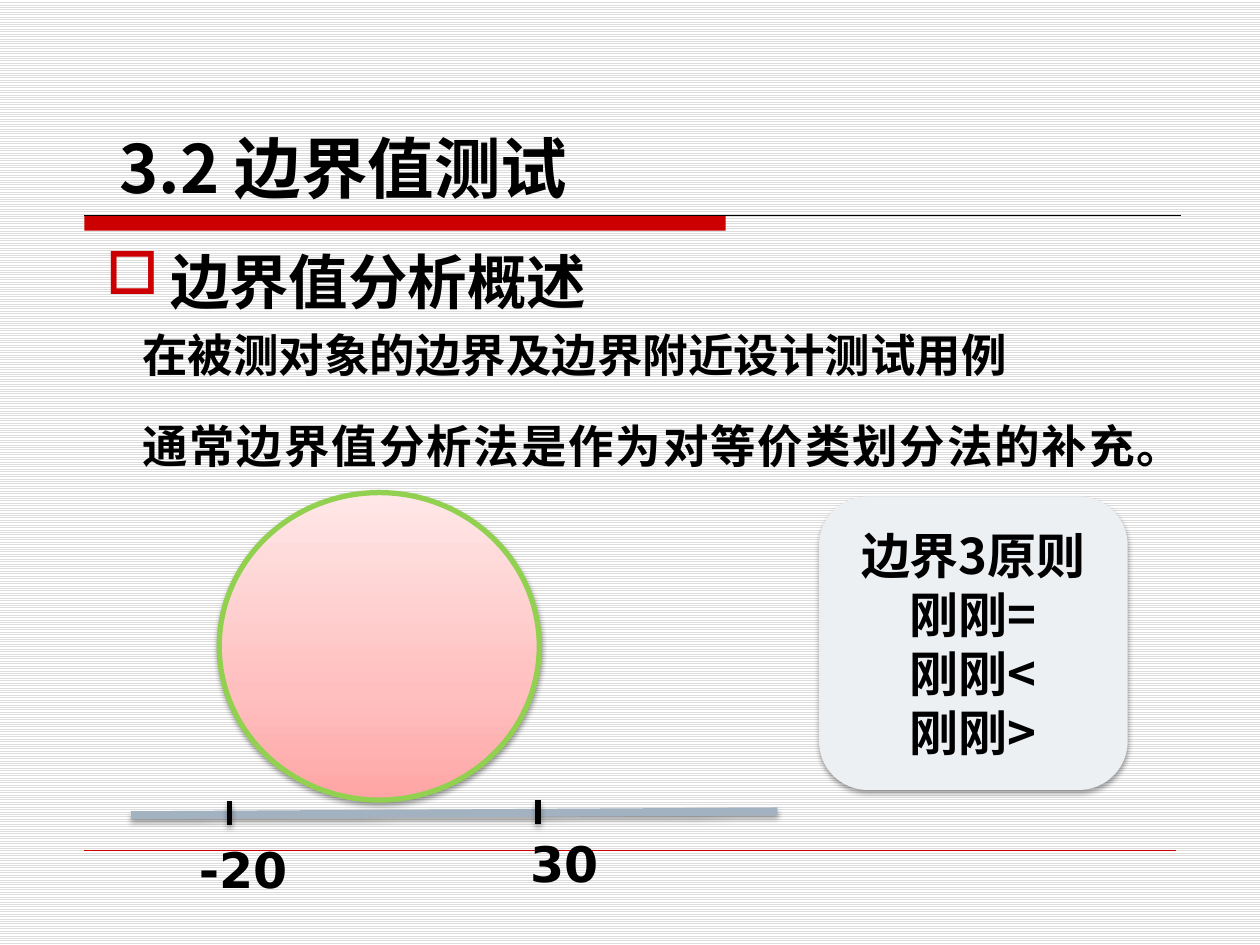
from lxml.etree import SubElement
from copy import deepcopy
from pptx import Presentation
from pptx.dml.color import RGBColor
from pptx.enum.dml import MSO_PATTERN
from pptx.enum.shapes import MSO_CONNECTOR, MSO_SHAPE
from pptx.enum.text import MSO_ANCHOR, PP_ALIGN
from pptx.oxml.ns import qn
from pptx.util import Inches, Pt

WIDE, HIGH = 10, 7.5
SANS, HAN = "DejaVu Sans", "Noto Sans CJK SC"
HUES = {
    "ink": "000000", "red": "CC0000", "paper": "FFFFFF", "stripe": "DDDDDD",
    "green": "92D050", "axis": "A3B2C1", "card": "EDF0F3",
    "deep": "FFA5A5", "mid": "FFBFBF", "pale": "FFE7E7",
}


def hue(name):
    return RGBColor.from_string(HUES[name])


def place(shape, box):
    shape.left, shape.top, shape.width, shape.height = map(Inches, box)


def write(shape, lines, size, font=SANS, align=PP_ALIGN.LEFT,
          anchor=MSO_ANCHOR.TOP, wrap=True, gap=0, lead=None, indent=0, hang=0):
    frame = shape.text_frame
    frame.word_wrap = wrap
    frame.vertical_anchor = anchor
    frame.margin_left = frame.margin_right = Inches(0.1)
    frame.margin_top = frame.margin_bottom = Inches(0.05)
    for i, line in enumerate(lines):
        para = frame.paragraphs[0] if i == 0 else frame.add_paragraph()
        para.alignment = align
        para.line_spacing = lead
        para.space_before = Pt(gap if i else 0)
        props = para._p.get_or_add_pPr()
        props.set("marL", str(Inches(indent)))
        props.set("indent", str(Inches(-hang)))
        run = para.add_run()
        run.text = line
        run.font.size, run.font.bold, run.font.name = Pt(size), True, font
        run.font.color.rgb = hue("ink")
        SubElement(run._r.get_or_add_rPr(), qn("a:ea"), typeface=HAN)
    return frame


def label(slide, box, lines, size, **look):
    shape = slide.shapes.add_textbox(*map(Inches, box))
    write(shape, lines, size, **look)


def shade(shape, alpha=None, dist=1.8):
    """Give a soft drop shadow, or none when alpha is left out."""
    effect = SubElement(shape._element.spPr, qn("a:effectLst"))
    if alpha:
        drop = SubElement(effect, qn("a:outerShdw"), blurRad=str(Pt(3.1)),
                          dist=str(Pt(dist)), dir="5400000", rotWithShape="0")
        tint = SubElement(drop, qn("a:srgbClr"), val=HUES["ink"])
        SubElement(tint, qn("a:alpha"), val=str(alpha * 1000))


def rule(slide, start, end, color, width, alpha=None):
    line = slide.shapes.add_connector(
        MSO_CONNECTOR.STRAIGHT, *map(Inches, (*start, *end)))
    line.line.color.rgb = hue(color)
    line.line.width = Pt(width)
    shade(line, alpha)


def frame(slide, left, top, wide, foot):
    """Striped ground, heading bar and foot line."""
    fill = slide.background.fill
    fill.patterned()
    fill.pattern = MSO_PATTERN.LIGHT_HORIZONTAL
    fill.fore_color.rgb, fill.back_color.rgb = hue("stripe"), hue("paper")
    bar = slide.shapes.add_shape(MSO_SHAPE.RECTANGLE, 0, 0, 0, 0)
    place(bar, (left, top, wide * 0.585, 0.12))
    bar.fill.solid()
    bar.fill.fore_color.rgb = hue("red")
    bar.line.fill.background()
    shade(bar)
    rule(slide, (left, top), (left + wide, top), "ink", 0.75)
    rule(slide, (left, foot), (WIDE - left, foot), "red", 0.25)


def heads(slide, left, top, wide):
    """Chapter name, bulleted title and the two statements."""
    label(slide, (left + 0.11, top, 3.95, 0.74), ["3.2 边界值测试"], 38,
          font=HAN, wrap=False)
    title = slide.shapes.title
    place(title, (left, top + 0.98, wide, 0.62))
    text = write(title, ["边界值分析概述"], 34, align=PP_ALIGN.JUSTIFY,
                 anchor=MSO_ANCHOR.BOTTOM, indent=0.51, hang=0.51)
    props = text.paragraphs[0]._p.get_or_add_pPr()
    tint = SubElement(props, qn("a:buClr"))
    SubElement(tint, qn("a:srgbClr"), val=HUES["red"])
    SubElement(props, qn("a:buChar"), char="□")
    label(slide, (left - 0.23, top + 1.37, wide + 0.04, 4.83),
          ["在被测对象的边界及边界附近设计测试用例",
           "通常边界值分析法是作为对等价类划分法的补充。"],
          26, align=PP_ALIGN.JUSTIFY, gap=5.2, lead=1.5, indent=0.52)


def scale(slide, left, top, wide):
    """Circle resting on an axis with two marked bounds."""
    disc = slide.shapes.add_shape(MSO_SHAPE.OVAL, 0, 0, 0, 0)
    place(disc, (left + 0.7, top, 2.54, 2.44))
    disc.fill.gradient()
    disc.fill.gradient_angle = 90
    first = disc.fill.gradient_stops[0]._gs
    first.addnext(deepcopy(first))
    stops = zip(disc.fill.gradient_stops, (0, 0.35, 1), ("deep", "mid", "pale"))
    for stop, where, color in stops:
        stop.position, stop.color.rgb = where, hue(color)
    disc.line.color.rgb, disc.line.width = hue("green"), Pt(3)
    shade(disc, 38, 1.6)

    axis = top + 2.56
    rule(slide, (left, axis), (left + wide, axis - 0.03), "axis", 4.5, 35)
    bounds = (("-20", 0.78, 0, 0.44, 2.24), ("30", 3.23, -0.01, 3.07, 1.07))
    for text, x, lift, start, span in bounds:
        y = axis - 0.11 + lift
        rule(slide, (left + x, y), (left + x, y + 0.19), "ink", 3, 35)
        label(slide, (left + start, y + 0.25 + 3 * lift, span, 0.57), [text], 28)


def card(slide, *box):
    """Rounded panel with the three principles."""
    panel = slide.shapes.add_shape(MSO_SHAPE.ROUNDED_RECTANGLE, 0, 0, 0, 0)
    place(panel, box)
    panel.fill.solid()
    panel.fill.fore_color.rgb = hue("card")
    panel.line.fill.background()
    shade(panel, 35)
    write(panel, ["边界3原则", "刚刚=", "刚刚<", "刚刚>"], 28, font=HAN,
          align=PP_ALIGN.CENTER, anchor=MSO_ANCHOR.MIDDLE)


def main():
    deck = Presentation()
    deck.slide_width, deck.slide_height = Inches(WIDE), Inches(HIGH)
    slide = deck.slides.add_slide(deck.slide_layouts[5])
    frame(slide, 0.67, 1.71, 8.7, HIGH * 0.9)
    heads(slide, 0.74, 0.96, 8.58)
    scale(slide, 1.04, 3.91, 5.13)
    card(slide, 6.5, 3.94, 2.45, 2.33)
    deck.save("out.pptx")


if __name__ == "__main__":
    main()
